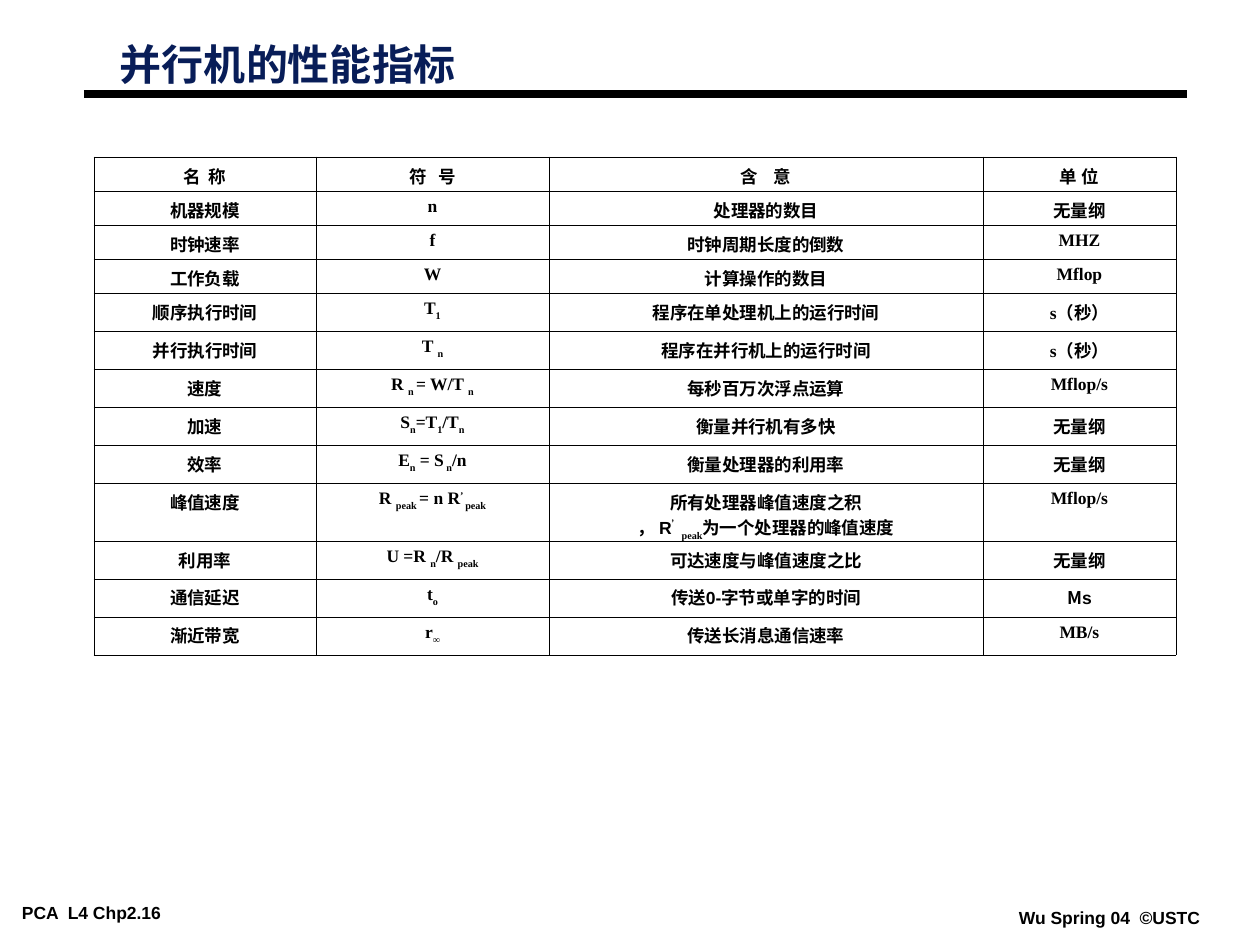
import pptx
import pptx.dml.color
import pptx.enum.shapes
import pptx.enum.text
import pptx.oxml
import pptx.oxml.ns
import pptx.util
from lxml import etree

EMU_PER_PX = 914400 / 126
LATIN, SANS, CJK = "Times New Roman", "Arial", "Noto Sans CJK SC"
BLACK, NAVY = "000000", "081D58"
COLUMN_WIDTHS = [222, 233, 434, 193]
ROW_HEIGHTS = [34] * 4 + [38] * 5 + [58] + [38] * 3
BASELINES = {"_": "-30000", "^": "30000"}
FONTS = {"@": SANS, "#": CJK}

# "|" parts runs; a leading _ lowers, ^ raises, @ and # choose a font.
METRICS = [
    ["名  称", "符   号", "含    意", "单 位"],
    ["机器规模", "n", "处理器的数目", "无量纲"],
    ["时钟速率", "f", "时钟周期长度的倒数", "MHZ"],
    ["工作负载", "W", "计算操作的数目", "Mflop"],
    ["顺序执行时间", "T|_1", "程序在单处理机上的运行时间", "s（秒）"],
    ["并行执行时间", "T |_n", "程序在并行机上的运行时间", "s（秒）"],
    ["速度", "R |_n |= W/T |_n", "每秒百万次浮点运算", "Mflop/s"],
    ["加速", "S|_n|=T|_1|/T|_n", "衡量并行机有多快", "无量纲"],
    ["效率", "E|_n| = S|_ n|/n", "衡量处理器的利用率", "无量纲"],
    ["峰值速度", "R |_peak |= n R|^’ |_peak",
     "所有处理器峰值速度之积\n， |@R|^’|_peak|为一个处理器的峰值速度", "Mflop/s"],
    ["利用率", "U =R |_n|/R |_peak", "可达速度与峰值速度之比", "无量纲"],
    ["通信延迟", "t|_o", "传送|@0-|字节或单字的时间", "#Μ|@s"],
    ["渐近带宽", "r|_∞", "传送长消息通信速率", "MB/s"],
]


def px(length):
    """Turn pixels into EMU."""
    return pptx.util.Emu(round(length * EMU_PER_PX))


def color(hex_code):
    """Turn a hex string into a colour."""
    return pptx.dml.color.RGBColor.from_string(hex_code)


def style_run(run, size, font=SANS, hex_code=BLACK):
    """Make a run bold, with Latin and East Asian fonts, size and colour."""
    run.font.size = pptx.util.Pt(size)
    run.font.bold = True
    run.font.name = font
    run.font.color.rgb = color(hex_code)
    east_asian = pptx.oxml.ns.qn("a:ea")
    etree.SubElement(run.font._element, east_asian, typeface=CJK)


def set_insets(frame):
    """Give a text frame the narrow insets of the slide."""
    frame.margin_left = frame.margin_right = px(9)
    frame.margin_top = frame.margin_bottom = px(4)


def add_title(slide, text):
    """Place and format the title placeholder."""
    title = slide.shapes.title
    title.left, title.top, title.width, title.height = map(px, (111, 42, 440, 50))
    frame = title.text_frame
    frame.text = text
    set_insets(frame)
    frame.auto_size = pptx.enum.text.MSO_AUTO_SIZE.NONE
    frame.vertical_anchor = pptx.enum.text.MSO_ANCHOR.MIDDLE
    heading = frame.paragraphs[0]
    heading.alignment = pptx.enum.text.PP_ALIGN.LEFT
    heading.line_spacing = 0.87
    style_run(heading.runs[0], 24, hex_code=NAVY)


def add_rule(slide, left, right, y):
    """Draw the thick horizontal rule below the title."""
    rule = slide.shapes.add_connector(
        pptx.enum.shapes.MSO_CONNECTOR.STRAIGHT, px(left), px(y), px(right), px(y))
    rule.line.color.rgb = color(BLACK)
    rule.line.width = pptx.util.Pt(4.5)
    etree.SubElement(rule._element.spPr, pptx.oxml.ns.qn("a:effectLst"))


def add_footer(slide, text, left, top, width):
    """Add one footer line."""
    frame = slide.shapes.add_textbox(px(left), px(top), px(width), px(28)).text_frame
    frame.text = text
    frame.word_wrap = False
    set_insets(frame)
    style_run(frame.paragraphs[0].runs[0], 10)


def add_border(cell):
    """Draw thin black lines on the four sides of a cell."""
    properties = cell._tc.get_or_add_tcPr()
    for index, side in enumerate(("lnL", "lnR", "lnT", "lnB")):
        properties.insert(index, pptx.oxml.parse_xml(
            f'<a:{side} {pptx.oxml.ns.nsdecls("a")} w="5715"><a:solidFill>'
            f'<a:srgbClr val="{BLACK}"/></a:solidFill></a:{side}>'))


def fill_paragraph(paragraph, markup):
    """Write marked-up runs into a centred paragraph with hanging indent."""
    paragraph.alignment = pptx.enum.text.PP_ALIGN.CENTER
    properties = paragraph._p.get_or_add_pPr()
    properties.set("marL", str(px(28)))
    properties.set("indent", str(-px(28)))
    for part in markup.split("|"):
        mark = part[0]
        run = paragraph.add_run()
        run.text = part[1:] if mark in BASELINES or mark in FONTS else part
        style_run(run, 10, FONTS.get(mark, LATIN))
        if mark in BASELINES:
            run.font._element.set("baseline", BASELINES[mark])


def fill_cell(cell, markup):
    """Write and format one table cell."""
    cell.fill.background()
    add_border(cell)
    cell.margin_left = cell.margin_right = px(13)
    cell.margin_top, cell.margin_bottom = px(6), px(1)
    lines = markup.split("\n")
    frame = cell.text_frame
    for index, line in enumerate(lines):
        fill_paragraph(frame.add_paragraph() if index else frame.paragraphs[0], line)


def add_metrics_table(slide, left, top):
    """Add the table of performance metrics."""
    table = slide.shapes.add_table(
        len(METRICS), len(COLUMN_WIDTHS), px(left), px(top),
        px(sum(COLUMN_WIDTHS)), px(sum(ROW_HEIGHTS))).table
    table.first_row = table.horz_banding = False
    for column, width in zip(table.columns, COLUMN_WIDTHS):
        column.width = px(width)
    for row, height, metric in zip(table.rows, ROW_HEIGHTS, METRICS):
        row.height = px(height)
        for cell, markup in zip(row.cells, metric):
            fill_cell(cell, markup)


def main():
    """Build and save the slide."""
    deck = pptx.Presentation()
    deck.slide_width, deck.slide_height = px(1260), px(945)
    slide = deck.slides.add_slide(deck.slide_layouts.get_by_name("Title Only"))
    add_footer(slide, "PCA  L4 Chp2.16", 13, 898, 222)
    add_footer(slide, "Wu Spring 04  ©USTC", 1010, 903, 199)
    add_rule(slide, 84, 1187, 94)
    add_title(slide, "并行机的性能指标")
    add_metrics_table(slide, 94, 157)
    deck.save("out.pptx")


if __name__ == "__main__":
    main()
